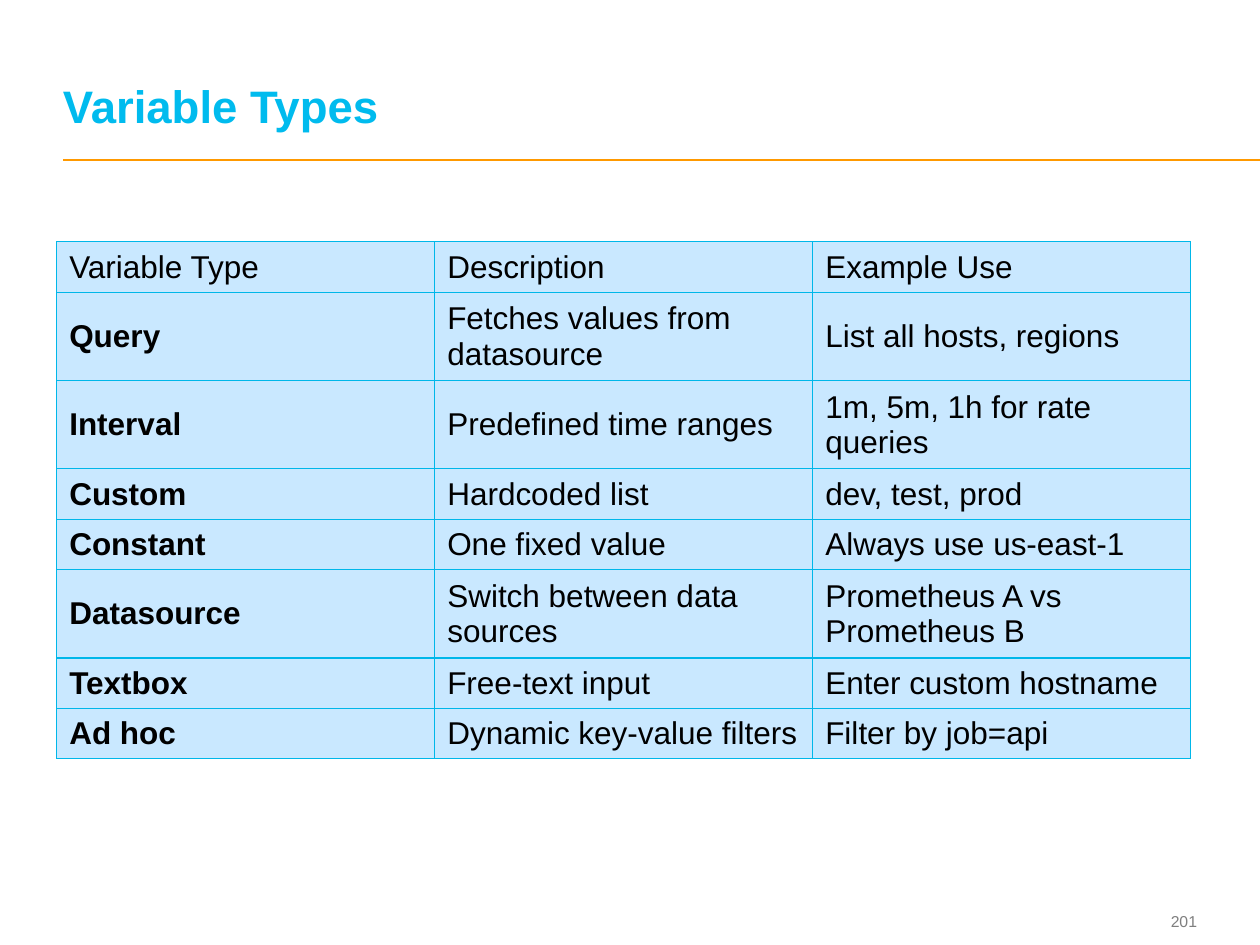
from lxml import etree
from pptx import Presentation
from pptx import util as u
from pptx.dml.color import RGBColor
from pptx.enum import shapes, text
from pptx.oxml import ns

FONT = "Arial"
TITLE_BLUE, RULE_ORANGE, NUMBER_GREY = "00BBEE", "FF9900", "7F7F7F"
CELL_FILL, CELL_BORDER, BLACK = "C9E8FF", "00B7E9", "000000"
LINE_HEIGHT, CELL_PADDING = 0.28, 0.1

ROWS = [
    ("Variable Type", "Description", "Example Use"),
    ("Query", "Fetches values from datasource", "List all hosts, regions"),
    ("Interval", "Predefined time ranges", "1m, 5m, 1h for rate queries"),
    ("Custom", "Hardcoded list", "dev, test, prod"),
    ("Constant", "One fixed value", "Always use us-east-1"),
    ("Datasource", "Switch between data sources", "Prometheus A vs Prometheus B"),
    ("Textbox", "Free-text input", "Enter custom hostname"),
    ("Ad hoc", "Dynamic key-value filters", "Filter by job=api"),
]
TEXT_LINES = [1, 2, 2, 1, 1, 2, 1, 1]


def color(value):
    return RGBColor.from_string(value)


def inches(area):
    return [u.Inches(length) for length in area]


def style(para, size, fill, bold=False):
    font = para.font
    font.name, font.size, font.bold = FONT, u.Pt(size), bold
    font.color.rgb = color(fill)


def add_text(page, area, words, anchor):
    frame = page.shapes.add_textbox(*inches(area)).text_frame
    frame.word_wrap = True
    frame.vertical_anchor = anchor
    frame.margin_left = frame.margin_right = 0
    frame.margin_top = frame.margin_bottom = 0
    para = frame.paragraphs[0]
    para.text = words
    return para


def add_title(page, area, words):
    para = add_text(page, area, words, text.MSO_ANCHOR.BOTTOM)
    para.line_spacing = u.Pt(26)
    style(para, 26, TITLE_BLUE, bold=True)


def add_page_number(page, area, number):
    para = add_text(page, area, number, text.MSO_ANCHOR.MIDDLE)
    para.alignment = text.PP_ALIGN.RIGHT
    style(para, 9, NUMBER_GREY)


def add_rule(page, left, right, top):
    rule = page.shapes.add_connector(
        shapes.MSO_CONNECTOR.STRAIGHT, *inches((left, top, right, top)))
    rule.line.color.rgb = color(RULE_ORANGE)
    rule.line.width = u.Pt(1)
    etree.SubElement(rule._element.spPr, ns.qn("a:effectLst"))


def add_borders(cell):
    properties = cell._tc.get_or_add_tcPr()
    for index, side in enumerate(("lnL", "lnR", "lnT", "lnB")):
        line = etree.Element(ns.qn(f"a:{side}"), w=str(u.Pt(0.75)))
        fill = etree.SubElement(line, ns.qn("a:solidFill"))
        etree.SubElement(fill, ns.qn("a:srgbClr"), val=CELL_BORDER)
        properties.insert(index, line)


def add_variable_table(page, left, top, width):
    heights = [lines * LINE_HEIGHT + CELL_PADDING for lines in TEXT_LINES]
    area = inches((left, top, width, sum(heights)))
    table = page.shapes.add_table(len(ROWS), len(ROWS[0]), *area).table
    table.first_row = table.horz_banding = False
    for r, (row, height) in enumerate(zip(ROWS, heights)):
        table.rows[r].height = u.Inches(height)
        for c, words in enumerate(row):
            cell = table.cell(r, c)
            cell.text = words
            cell.vertical_anchor = text.MSO_ANCHOR.MIDDLE
            cell.fill.solid()
            cell.fill.fore_color.rgb = color(CELL_FILL)
            add_borders(cell)
            style(cell.text_frame.paragraphs[0], 18, BLACK, bold=r > 0 and c == 0)


def main():
    deck = Presentation()
    deck.slide_width, deck.slide_height = inches((10, 7.5))
    page = deck.slides.add_slide(deck.slide_layouts[6])
    add_rule(page, 0.5, 10, 1.27)
    add_page_number(page, (8.91, 7.18, 0.59, 0.27), "201")
    add_title(page, (0.5, 0.19, 8.97, 0.86), "Variable Types")
    add_variable_table(page, 0.45, 1.92, 9)
    deck.save("out.pptx")


if __name__ == "__main__":
    main()
